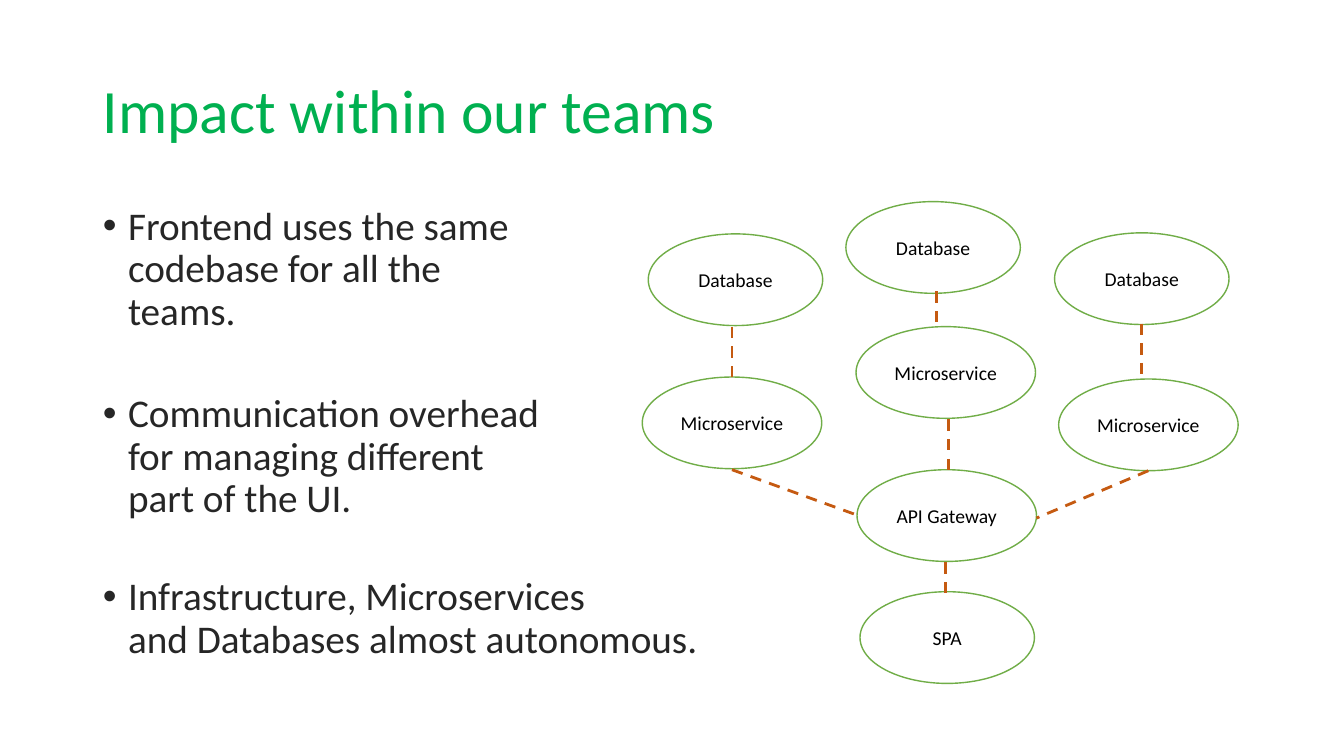
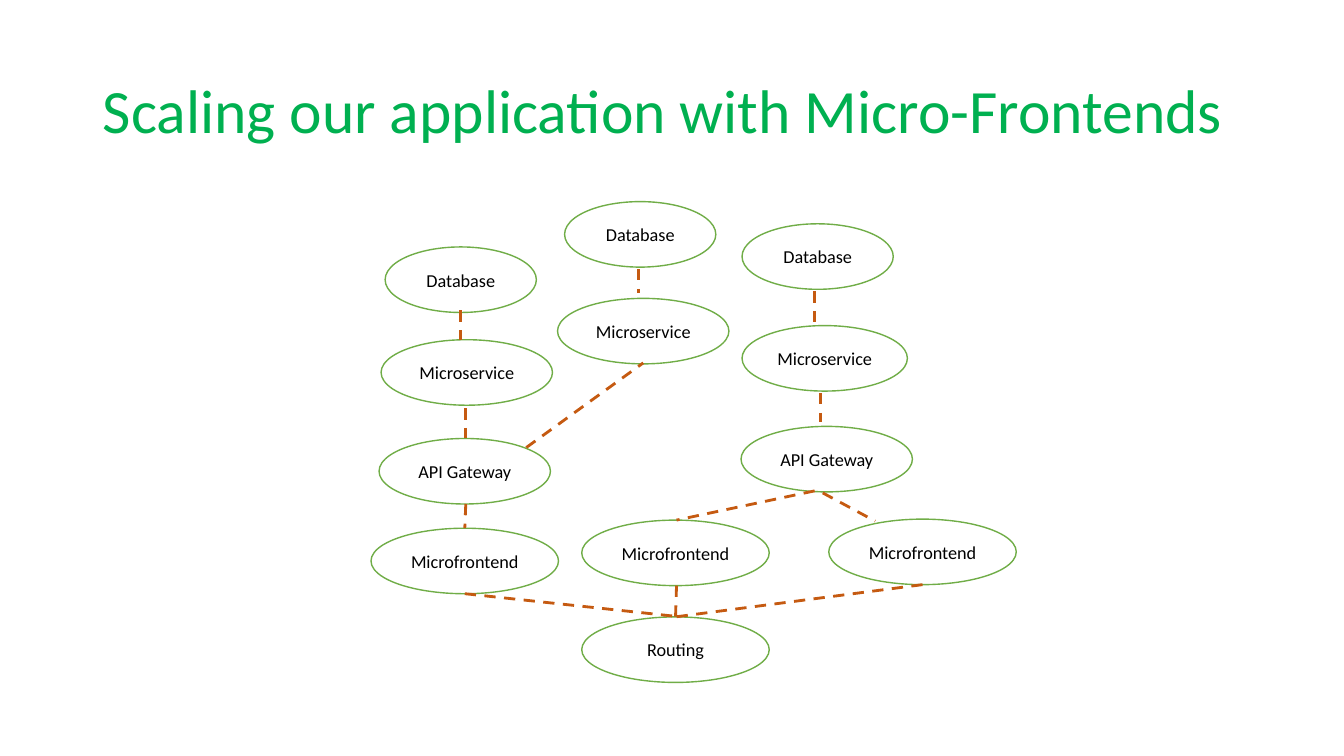
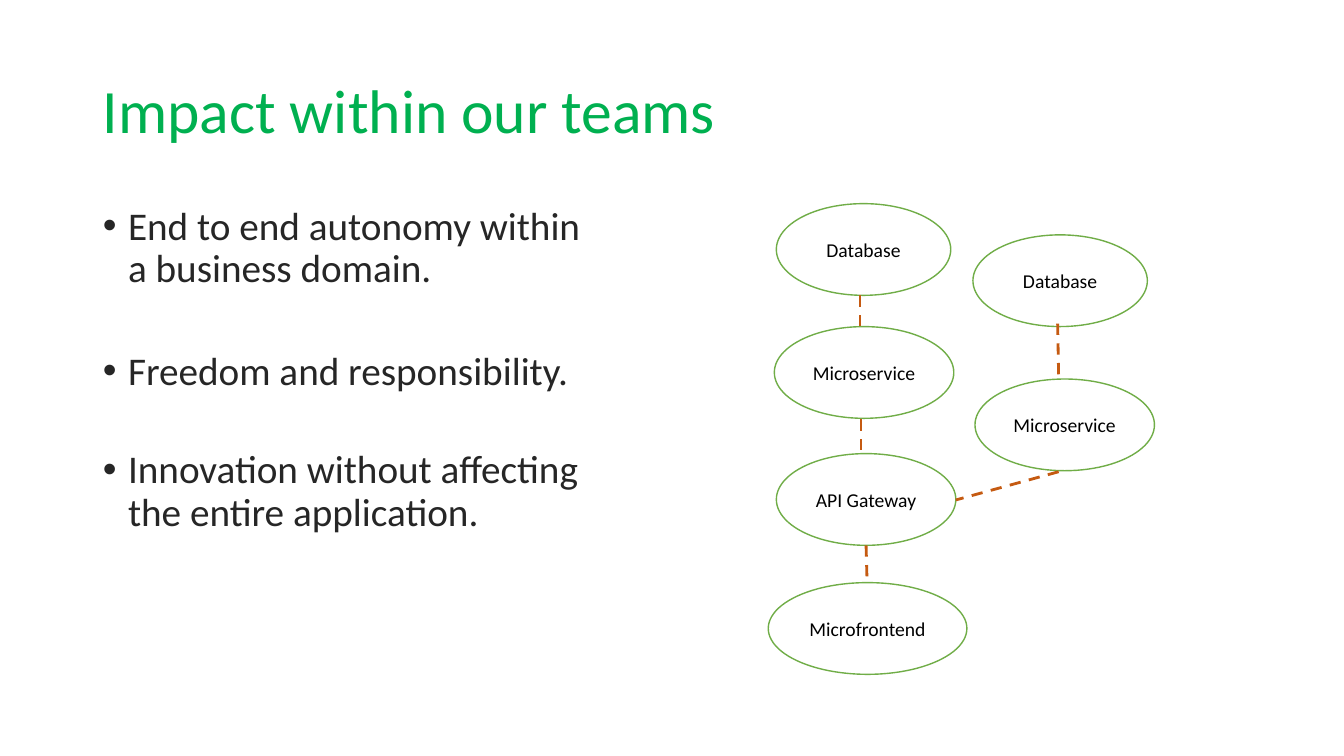
from dataclasses import dataclass

from lxml import etree
from pptx import Presentation
from pptx.dml.color import RGBColor
from pptx.enum import dml, shapes, text
from pptx.oxml import ns
from pptx.util import Inches, Pt

# Shared look
FONT = "Calibri"
GREEN = RGBColor(0x00, 0xB0, 0x50)
OUTLINE = RGBColor(0x70, 0xAD, 0x47)
ORANGE = RGBColor(0xC5, 0x5A, 0x11)
DARK = RGBColor(0x26, 0x26, 0x26)
BLACK = RGBColor(0, 0, 0)
WHITE = RGBColor(0xFF, 0xFF, 0xFF)

TITLE_BOX = (0.92, 0.4, 11.5, 1.45)
BODY_BOX = (0.92, 2, 11.5, 4.76)
BULLET_GAPS = (0, 43, 40)
TITLE_AND_BODY, TITLE_ONLY = 1, 5


@dataclass
class NodeStyle:
    height: float
    font_size: int
    widths: dict


LARGE = NodeStyle(0.91, 14, {"Database": 1.73, "SPA": 1.73, "Microservice": 1.78,
                             "API Gateway": 1.78, "Microfrontend": 1.97})
SMALL = NodeStyle(0.65, 13, {"Database": 1.5, "Microservice": 1.7, "API Gateway": 1.7,
                             "Microfrontend": 1.86, "Routing": 1.86})

# Slide content: nodes are (label, left, top[, width]), links are (x1, y1, x2, y2)
TEAM_BULLETS = [
    "Frontend uses the same\vcodebase for all the\vteams.",
    "Communication overhead\vfor managing different\vpart of the UI.",
    "Infrastructure, Microservices\vand Databases almost autonomous.",
]
TEAM_NODES = [
    ("Database", 6.43, 2.32), ("Database", 8.39, 2), ("Database", 10.46, 2.31),
    ("Microservice", 6.37, 3.74), ("Microservice", 8.49, 3.24), ("Microservice", 10.5, 3.76),
    ("API Gateway", 8.5, 4.66), ("SPA", 8.53, 5.87),
]
TEAM_LINKS = [
    (7.26, 3.24, 7.26, 3.74), (9.29, 2.89, 9.29, 3.23), (11.32, 3.21, 11.32, 3.75),
    (9.41, 4.16, 9.41, 4.66), (7.26, 4.66, 8.5, 5.11), (11.39, 4.67, 10.28, 5.14),
    (9.38, 5.58, 9.38, 5.92),
]

SCALING_NODES = [
    ("Database", 3.82, 2.45), ("Database", 5.6, 2), ("Database", 7.36, 2.22),
    ("Microservice", 3.78, 3.37), ("Microservice", 5.53, 2.96),
    ("Microservice", 7.36, 3.23, 1.64),
    ("API Gateway", 3.76, 4.35), ("API Gateway", 7.35, 4.23),
    ("Microfrontend", 3.68, 5.24), ("Microfrontend", 5.77, 5.16),
    ("Microfrontend", 8.22, 5.15), ("Routing", 5.77, 6.12),
]
SCALING_LINKS = [
    (4.57, 3.08, 4.57, 3.37), (6.33, 2.67, 6.33, 2.91), (8.08, 2.89, 8.08, 3.23),
    (4.62, 4.05, 4.62, 4.35), (5.22, 4.44, 6.38, 3.6), (8.14, 3.9, 8.14, 4.19),
    (8.16, 4.89, 8.68, 5.17), (8.08, 4.87, 6.71, 5.16), (4.62, 5, 4.61, 5.24),
    (4.61, 5.89, 6.75, 6.12), (6.71, 5.81, 6.7, 6.12), (9.15, 5.8, 6.7, 6.12),
]

DOMAIN_BULLETS = [
    "End to end autonomy within\va business domain.",
    "Freedom and responsibility.",
    "Innovation without affecting\vthe entire application.",
]
DOMAIN_NODES = [
    ("Database", 7.7, 2.02), ("Database", 9.65, 2.33),
    ("Microservice", 7.68, 3.24), ("Microservice", 9.67, 3.76),
    ("API Gateway", 7.7, 4.5), ("Microfrontend", 7.62, 5.78),
]
DOMAIN_LINKS = [
    (8.53, 2.93, 8.53, 3.23), (10.49, 3.21, 10.5, 3.75), (8.54, 4.16, 8.54, 4.53),
    (10.5, 4.68, 9.48, 4.96), (8.59, 5.41, 8.6, 5.78),
]


def place(shape, box):
    shape.left, shape.top, shape.width, shape.height = map(Inches, box)


def set_font(paragraph, size, color):
    paragraph.font.name = FONT
    paragraph.font.size = Pt(size)
    paragraph.font.color.rgb = color


def add_bullet(paragraph):
    properties = paragraph._p.get_or_add_pPr()
    properties.set("marL", str(Inches(0.25)))
    properties.set("indent", str(-Inches(0.25)))
    etree.SubElement(properties, ns.qn("a:buFont"), typeface="Arial")
    etree.SubElement(properties, ns.qn("a:buChar"), char="•")


def add_slide(presentation, title, bullets=()):
    layout = presentation.slide_layouts[TITLE_AND_BODY if bullets else TITLE_ONLY]
    slide = presentation.slides.add_slide(layout)

    # Title
    place(slide.shapes.title, TITLE_BOX)
    frame = slide.shapes.title.text_frame
    frame.text = title
    frame.auto_size = text.MSO_AUTO_SIZE.NONE
    frame.vertical_anchor = text.MSO_ANCHOR.MIDDLE
    paragraph = frame.paragraphs[0]
    paragraph.alignment = text.PP_ALIGN.LEFT
    paragraph.line_spacing = 0.9
    set_font(paragraph, 44, GREEN)

    # Bullet list
    if bullets:
        body = slide.placeholders[1]
        place(body, BODY_BOX)
        frame = body.text_frame
        frame.text = "\n".join(bullets)
        frame.auto_size = text.MSO_AUTO_SIZE.NONE
        for paragraph, gap in zip(frame.paragraphs, BULLET_GAPS):
            add_bullet(paragraph)
            paragraph.line_spacing = 0.9
            paragraph.space_before = Pt(gap)
            set_font(paragraph, 28, DARK)
    return slide


def add_node(slide, style, label, left, top, width=None):
    node = slide.shapes.add_shape(
        shapes.MSO_SHAPE.OVAL, Inches(left), Inches(top),
        Inches(width or style.widths[label]), Inches(style.height))
    node.shadow.inherit = False
    node.fill.solid()
    node.fill.fore_color.rgb = WHITE
    node.line.color.rgb = OUTLINE
    node.line.width = Pt(1)
    frame = node.text_frame
    frame.text = label
    frame.word_wrap = False
    frame.vertical_anchor = text.MSO_ANCHOR.MIDDLE
    frame.paragraphs[0].alignment = text.PP_ALIGN.CENTER
    set_font(frame.paragraphs[0], style.font_size, BLACK)


def add_link(slide, ends):
    link = slide.shapes.add_connector(shapes.MSO_CONNECTOR.STRAIGHT, *map(Inches, ends))
    link.line.color.rgb = ORANGE
    link.line.width = Pt(2)
    link.line.dash_style = dml.MSO_LINE.DASH
    etree.SubElement(link._element.spPr, ns.qn("a:effectLst"))


def add_diagram(slide, style, nodes, links):
    for node in nodes:
        add_node(slide, style, *node)
    for ends in links:
        add_link(slide, ends)


def main():
    presentation = Presentation()
    presentation.slide_width = Inches(13.33)
    presentation.slide_height = Inches(7.5)

    slide = add_slide(presentation, "Impact within our teams", TEAM_BULLETS)
    add_diagram(slide, LARGE, TEAM_NODES, TEAM_LINKS)

    slide = add_slide(presentation, "Scaling our application with Micro-Frontends")
    add_diagram(slide, SMALL, SCALING_NODES, SCALING_LINKS)

    slide = add_slide(presentation, "Impact within our teams", DOMAIN_BULLETS)
    add_diagram(slide, LARGE, DOMAIN_NODES, DOMAIN_LINKS)

    presentation.save("out.pptx")


if __name__ == "__main__":
    main()
